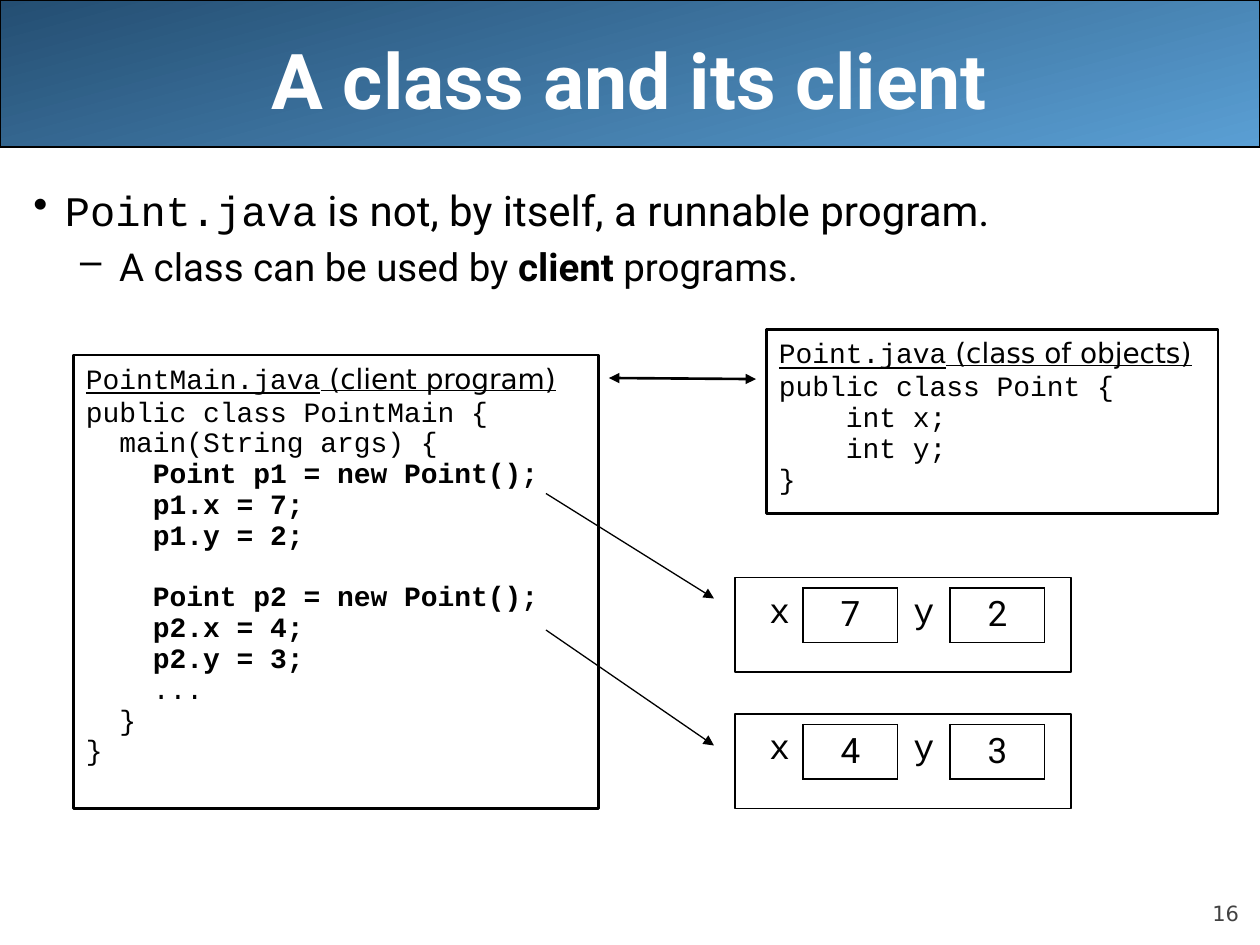
from dataclasses import dataclass

import pptx
import pptx.dml.color
import pptx.enum.dml
import pptx.enum.shapes
import pptx.enum.text
import pptx.oxml
import pptx.oxml.ns
import pptx.util

RGBColor = pptx.dml.color.RGBColor
BLACK = RGBColor(0x00, 0x00, 0x00)
WHITE = RGBColor(0xFF, 0xFF, 0xFF)
GREY = RGBColor(0x42, 0x42, 0x42)
NAVY = RGBColor(0x24, 0x4E, 0x72)
SKY = RGBColor(0x5A, 0x9F, 0xD4)

WIDTH, HEIGHT = pptx.util.Inches(10), pptx.util.Inches(7.5)
COLS, ROWS = 120, 90
SANS, MONO, LABEL = "Roboto", "Courier New", "DejaVu Sans"
ALIGN = pptx.enum.text.PP_ALIGN
ANCHOR = pptx.enum.text.MSO_ANCHOR
SHAPE = pptx.enum.shapes.MSO_SHAPE
CODE_GAP, BLANK_LINE = 8, 17.6


@dataclass
class Area:
    col: float
    row: float
    cols: float
    rows: float

    def emu(self) -> tuple:
        return x(self.col), y(self.row), x(self.cols), y(self.rows)


@dataclass
class CodeBox:
    area: Area
    file: str
    role: str
    code: str
    bold_mark: str


@dataclass
class PointObject:
    row: float
    x: str
    y: str


@dataclass
class Arrow:
    start: tuple
    end: tuple
    weight: float = 0.75
    double: bool = False


CODE_BOXES = [
    CodeBox(Area(7, 33.8, 50, 43.2), "PointMain.java", " (client program)",
            """public class PointMain {
  main(String args) {
    Point p1 = new Point();
    p1.x = 7;
    p1.y = 2;

    Point p2 = new Point();
    p2.x = 4;
    p2.y = 3;
    ...
  }
}""", "    P p"),
    CodeBox(Area(73, 31.4, 43, 17.5), "Point.java", " (class of objects)",
            """public class Point {
    int x;
    int y;
}""", ""),
]
OBJECTS = [PointObject(55, "7", "2"), PointObject(68, "4", "3")]
ARROWS = [
    Arrow((58, 36), (72, 36.1), 1.5, True),
    Arrow((52, 47), (68, 57)),
    Arrow((52, 60), (68, 71)),
]


def x(cols: float) -> int:
    return round(WIDTH * cols / COLS)


def y(rows: float) -> int:
    return round(HEIGHT * rows / ROWS)


def add_xml(parent, xml: str) -> None:
    head, rest = xml.split(">", 1) if "/>" not in xml.split(">", 1)[0] + ">" else (xml[:-2], "")
    ns = pptx.oxml.ns.nsdecls("a")
    full = f"{head} {ns}>{rest}" if rest else f"{head} {ns}/>"
    parent.append(pptx.oxml.parse_xml(full))


def style(font, size: float, name: str = "", color=BLACK) -> None:
    font.size = pptx.util.Pt(size)
    font.color.rgb = color
    if name:
        font.name = name


def add_runs(p, *runs: tuple) -> None:
    for text, name in runs:
        r = p.add_run()
        r.text, r.font.name = text, name


def add_text(s, area: Area, anchor=ANCHOR.TOP):
    tf = s.shapes.add_textbox(*area.emu()).text_frame
    tf.word_wrap = True
    tf.vertical_anchor = anchor
    return tf


def add_box(s, area: Area, weight: float, kind=SHAPE.RECTANGLE):
    sp = s.shapes.add_shape(kind, *area.emu())
    sp.shadow.inherit = False
    sp.fill.background()
    sp.line.color.rgb = BLACK
    sp.line.width = pptx.util.Pt(weight)
    return sp


def set_indent(p, left: float, hanging: float, bullet: str = "") -> None:
    pPr = p._p.get_or_add_pPr()
    pPr.set("marL", str(pptx.util.Inches(left)))
    pPr.set("indent", str(-pptx.util.Inches(hanging)))
    if bullet:
        add_xml(pPr, '<a:buClr><a:srgbClr val="000000"/></a:buClr>')
        add_xml(pPr, f'<a:buChar char="{bullet}"/>')


def add_header(s) -> None:
    sp = add_box(s, Area(0, 0, COLS, 14), 0.75, SHAPE.ROUNDED_RECTANGLE)
    sp.adjustments[0] = 0
    sp.fill.gradient()
    sp.fill.gradient_angle = 285
    for stop, position, color in zip(sp.fill.gradient_stops, (0, 1), (NAVY, SKY)):
        stop.position, stop.color.rgb = position, color
    p = add_text(s, Area(6, 0, 108, 15), ANCHOR.MIDDLE).paragraphs[0]
    p.text, p.alignment = "A class and its client", ALIGN.CENTER
    style(p.font, 44, SANS, WHITE)
    p.font.bold = True


def add_slide_number(s) -> None:
    tf = add_text(s, Area(108, 83.4, 10, 4.8), ANCHOR.BOTTOM)
    tf.margin_left = tf.margin_right = tf.margin_top = tf.margin_bottom = 0
    p = tf.paragraphs[0]
    p.text, p.alignment = "16", ALIGN.RIGHT
    style(p.font, 12, LABEL, GREY)


def add_body(s) -> None:
    tf = add_text(s, Area(2, 17, 118, 68))
    p = tf.paragraphs[0]
    set_indent(p, 0.25, 0.25, "•")
    style(p.font, 24)
    add_runs(p, ("Point.java", MONO), (" is not, by itself, a runnable program.", SANS))
    p = tf.add_paragraph()
    p.level = 1
    set_indent(p, 0.68, 0.31, "–")
    p.space_before = pptx.util.Pt(4.4)
    style(p.font, 22, SANS)
    for text in ("A class can be used by ", "client", " programs."):
        r = p.add_run()
        r.text, r.font.bold = text, text == "client"


def add_code_box(s, box: CodeBox) -> None:
    tf = add_box(s, box.area, 1.5).text_frame
    tf.word_wrap, tf.vertical_anchor = True, ANCHOR.TOP
    p = tf.paragraphs[0]
    p.alignment = ALIGN.LEFT
    set_indent(p, 0.25, 0.25)
    style(p.font, 16)
    p.font.underline = True
    add_runs(p, (box.file, MONO), (box.role, LABEL))
    gap = CODE_GAP
    for line in box.code.splitlines():
        if not line:
            gap += BLANK_LINE
            continue
        p = tf.add_paragraph()
        p.text, p.alignment = line, ALIGN.LEFT
        set_indent(p, 0.25, 0.25)
        p.line_spacing, p.space_before = 0.5, pptx.util.Pt(gap)
        style(p.font, 16, MONO)
        p.font.bold = line.startswith(tuple("    " + c for c in box.bold_mark.split()))
        gap = CODE_GAP


def set_borders(cell, is_value: bool, has_left: bool) -> None:
    shown = {"L": is_value or has_left, "R": True, "T": is_value, "B": is_value}
    for side, visible in shown.items():
        fill = '<a:solidFill><a:srgbClr val="000000"/></a:solidFill>' if visible else "<a:noFill/>"
        add_xml(cell._tc.get_or_add_tcPr(), f'<a:ln{side} w="12700">{fill}</a:ln{side}>')


def add_object(s, obj: PointObject) -> None:
    add_box(s, Area(70, obj.row, 32, 9), 0.75)
    widths = (4.5, 9, 5, 9)
    area = Area(72, obj.row + 1, sum(widths), 5.2)
    table = s.shapes.add_table(1, len(widths), *area.emu()).table
    table.first_row = table.horz_banding = False
    for i, (text, width) in enumerate(zip(("x", obj.x, "y", obj.y), widths)):
        table.columns[i].width = x(width)
        cell = table.cell(0, i)
        is_value = i % 2 == 1
        set_borders(cell, is_value, i > 0)
        cell.fill.background()
        p = cell.text_frame.paragraphs[0]
        p.text, p.alignment = text, ALIGN.CENTER
        style(p.font, 20, SANS if is_value else MONO)


def add_arrow(s, arrow: Arrow) -> None:
    (c1, r1), (c2, r2) = arrow.start, arrow.end
    line = s.shapes.add_connector(
        pptx.enum.shapes.MSO_CONNECTOR.STRAIGHT, x(c1), y(r1), x(c2), y(r2))
    line.line.color.rgb = BLACK
    line.line.width = pptx.util.Pt(arrow.weight)
    ln = line.line._get_or_add_ln()
    for end in ("headEnd", "tailEnd") if arrow.double else ("tailEnd",):
        add_xml(ln, f'<a:{end} type="triangle"/>')
    add_xml(line._element.spPr, "<a:effectLst/>")


def main() -> None:
    prs = pptx.Presentation()
    prs.slide_width, prs.slide_height = WIDTH, HEIGHT
    s = prs.slides.add_slide(prs.slide_layouts[6])
    add_header(s)
    add_slide_number(s)
    add_body(s)
    for box in CODE_BOXES:
        add_code_box(s, box)
    for obj in OBJECTS:
        add_object(s, obj)
    for arrow in ARROWS:
        add_arrow(s, arrow)
    prs.save("out.pptx")


if __name__ == "__main__":
    main()
